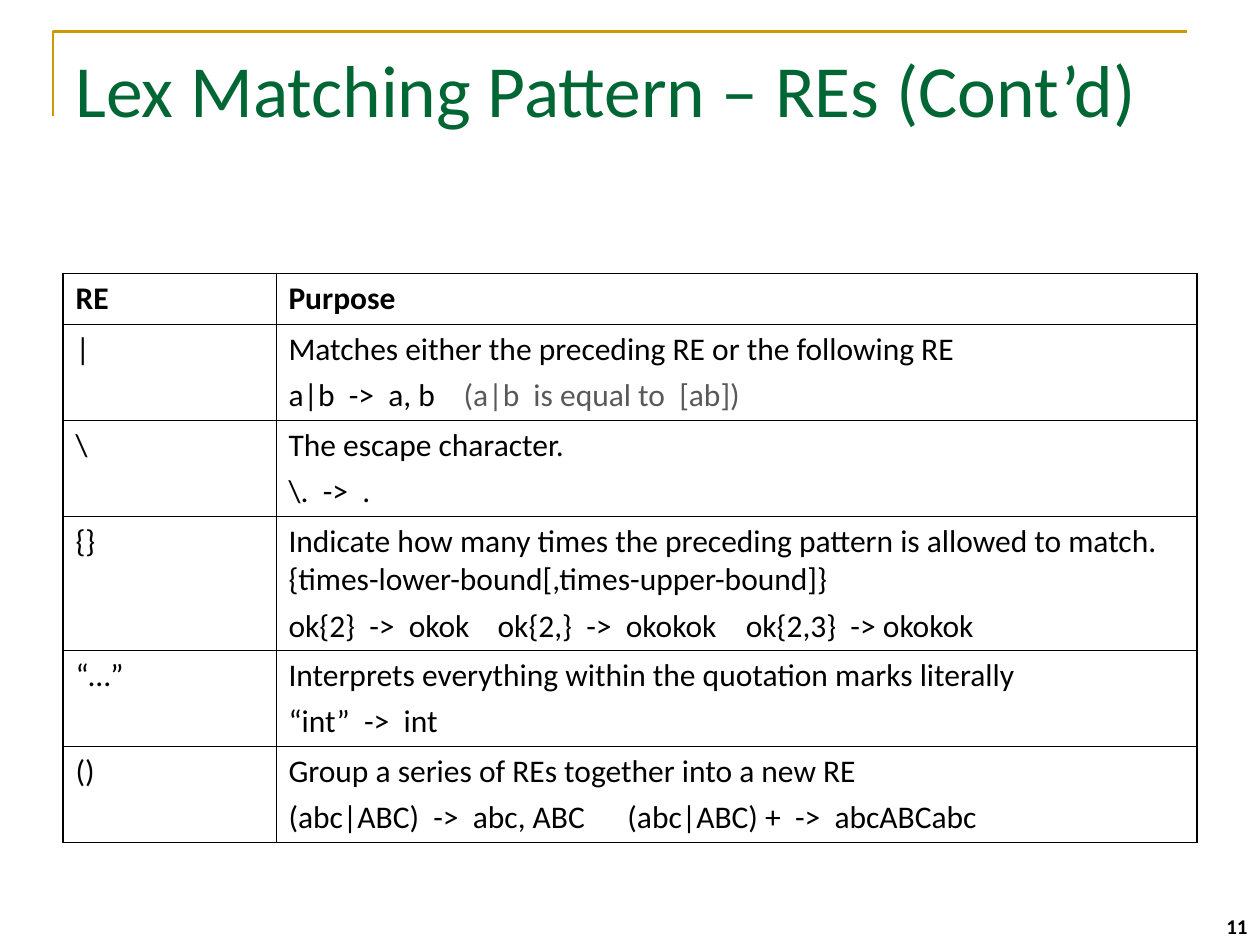
"""Build the slide on Lex regular expression operators, with a bordered table."""
from lxml.etree import SubElement
from pptx import Presentation
from pptx.dml.color import RGBColor
from pptx.enum.text import MSO_ANCHOR, PP_ALIGN
from pptx.oxml.ns import qn
from pptx.util import Inches, Pt

TITLE = "Lex Matching Pattern – REs (Cont’d)"
PAGE_NUMBER = "11"
HEADER = ("RE", "Purpose")
OPERATORS = [
    {"re": "|", "purpose": "Matches either the preceding RE or the following RE",
     "example": "a|b  ->  a, b", "remark": "\t(a|b  is equal to  [ab])", "tabs": [1.39]},
    {"re": "\\", "purpose": "The escape character.", "example": "\\.  ->  ."},
    {"re": "{}", "purpose": "Indicate how many times the preceding pattern is allowed to match. "
                            "{times-lower-bound[,times-upper-bound]}",
     "example": "ok{2}  ->  okok\tok{2,}  ->  okokok\tok{2,3}  -> okokok", "tabs": [1.66, 3.63]},
    {"re": "“…”", "purpose": "Interprets everything within the quotation marks literally",
     "example": "“int”  ->  int"},
    {"re": "()", "purpose": "Group a series of REs together into a new RE",
     "example": "(abc|ABC)  ->  abc, ABC\t(abc|ABC) +  ->  abcABCabc", "tabs": [2.69]},
]
BLACK, GRAY, GREEN, GOLD = "000000", "595959", "006633", "CC9900"
COLUMN_WIDTHS = (1.69, 7.31)
ROW_HEIGHTS = (0.4, 0.76, 0.76, 1.06, 0.76, 0.76)
OUTER_BORDER, INNER_BORDER = 1.08, 0.45
CORNER = [(0.42, 0.92), (0.42, 0.25), (9.42, 0.25)]


def color(hex_value):
    return RGBColor.from_string(hex_value)


def assign(target, **values):
    for name, value in values.items():
        setattr(target, name, value)


def write(paragraph, wording, size=18, hex_value=BLACK, bold=False):
    run = paragraph.add_run()
    run.text = wording
    assign(run.font, name="Calibri", size=Pt(size), bold=bold)
    run.font.color.rgb = color(hex_value)


def place(shape, left, top, width, height):
    assign(shape, left=Inches(left), top=Inches(top), width=Inches(width), height=Inches(height))


def set_tabs(paragraph, positions):
    tab_list = SubElement(paragraph._p.get_or_add_pPr(), qn("a:tabLst"))
    for position in positions:
        SubElement(tab_list, qn("a:tab"), pos=str(Inches(position)), algn="l")


def set_borders(cell, outer_sides):
    properties = cell._tc.get_or_add_tcPr()
    for side in "LRTB":
        width = OUTER_BORDER if side in outer_sides else INNER_BORDER
        line = SubElement(properties, qn(f"a:ln{side}"), w=str(Pt(width)))
        SubElement(SubElement(line, qn("a:solidFill")), qn("a:srgbClr"), val=BLACK)


def fill_cell(cell, lines, bold=False, tabs=()):
    for index, parts in enumerate(lines):
        frame = cell.text_frame
        paragraph = frame.add_paragraph() if index else frame.paragraphs[0]
        paragraph.space_before = Pt(4.5)
        if index and tabs:
            set_tabs(paragraph, tabs)
        for wording, hex_value in parts:
            write(paragraph, wording, hex_value=hex_value, bold=bold)


def add_corner(slide):
    start, *others = [(Inches(x), Inches(y)) for x, y in CORNER]
    builder = slide.shapes.build_freeform(*start)
    builder.add_line_segments(others, close=False)
    corner = builder.convert_to_shape()
    corner.shadow.inherit = False
    corner.fill.background()
    corner.line.color.rgb = color(GOLD)
    corner.line.width = Pt(1.5)


def add_page_number(slide):
    frame = slide.shapes.add_textbox(Inches(7.67), Inches(7), Inches(2.33), Inches(0.5)).text_frame
    assign(frame, word_wrap=True, vertical_anchor=MSO_ANCHOR.BOTTOM)
    frame.paragraphs[0].alignment = PP_ALIGN.RIGHT
    write(frame.paragraphs[0], PAGE_NUMBER, size=12, bold=True)


def format_title(title):
    place(title, 0.5, 0.3, 9, 1.25)
    assign(title.text_frame, word_wrap=True, vertical_anchor=MSO_ANCHOR.TOP)
    title.text_frame.paragraphs[0].alignment = PP_ALIGN.LEFT
    write(title.text_frame.paragraphs[0], TITLE, size=42, hex_value=GREEN)


def add_operator_table(slide):
    row_count, column_count = len(ROW_HEIGHTS), len(COLUMN_WIDTHS)
    table = slide.shapes.add_table(row_count, column_count, Inches(0.5), Inches(2.17),
                                   Inches(sum(COLUMN_WIDTHS)), Inches(sum(ROW_HEIGHTS))).table
    assign(table, first_row=False, horz_banding=False)
    for column, width in zip(table.columns, COLUMN_WIDTHS):
        column.width = Inches(width)
    for index, (row, height) in enumerate(zip(table.rows, ROW_HEIGHTS)):
        row.height = Inches(height)
        vertical = {0: "T", row_count - 1: "B"}.get(index, "")
        for cell, side in zip(row.cells, "LR"):
            margins = {"margin_left": 0.1, "margin_right": 0.1, "margin_top": 0.05, "margin_bottom": 0.05}
            assign(cell, **{name: Inches(value) for name, value in margins.items()})
            set_borders(cell, side + vertical)
            cell.fill.background()
    for column, heading in enumerate(HEADER):
        fill_cell(table.cell(0, column), [[(heading, BLACK)]], bold=True)
    for index, operator in enumerate(OPERATORS, start=1):
        example = [(operator["example"], BLACK)]
        if "remark" in operator:
            example.append((operator["remark"], GRAY))
        fill_cell(table.cell(index, 0), [[(operator["re"], BLACK)]])
        fill_cell(table.cell(index, 1), [[(operator["purpose"], BLACK)], example],
                  tabs=operator.get("tabs", ()))


def main():
    deck = Presentation()
    assign(deck, slide_width=Inches(10), slide_height=Inches(7.5))
    slide = deck.slides.add_slide(deck.slide_layouts[5])
    add_corner(slide)
    add_page_number(slide)
    format_title(slide.shapes.title)
    add_operator_table(slide)
    deck.save("out.pptx")


if __name__ == "__main__":
    main()
